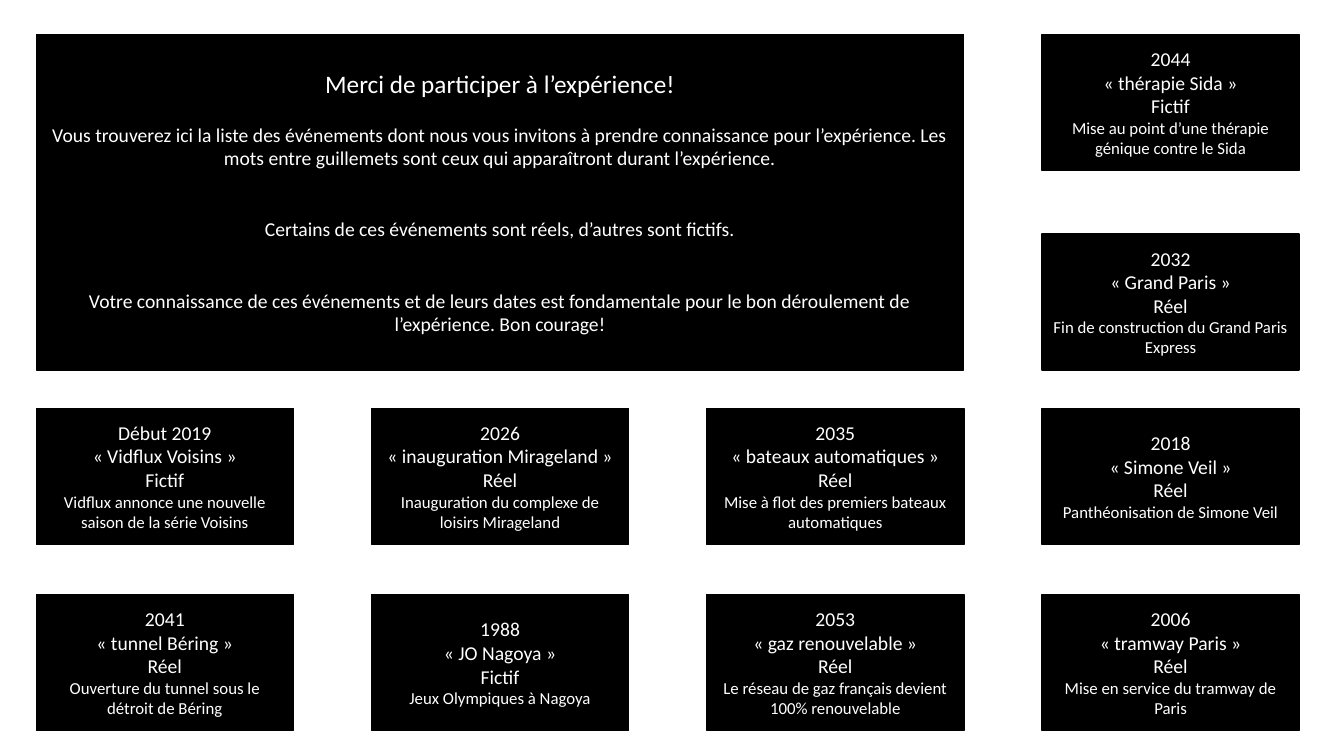
from dataclasses import dataclass

from pptx import Presentation
from pptx.dml.color import RGBColor
from pptx.enum.shapes import MSO_SHAPE
from pptx.enum.text import MSO_ANCHOR, PP_ALIGN
from pptx.util import Inches, Pt

RECT = MSO_SHAPE.RECTANGLE
MIDDLE = MSO_ANCHOR.MIDDLE
CENTER = PP_ALIGN.CENTER


@dataclass(frozen=True)
class Theme:
    font: str = "Calibri"
    fill: RGBColor = RGBColor(0, 0, 0)
    ink: RGBColor = RGBColor(255, 255, 255)
    title: int = 18
    body: int = 14
    small: int = 12
    edge: int = 1


@dataclass(frozen=True)
class Line:
    text: str
    size: int
    gap: int = 0  # points of space above


@dataclass(frozen=True)
class Event:
    col: int
    row: int
    date: str
    name: str
    kind: str
    note: str


THEME = Theme()

# Grid in inches: equal columns, rows by their top edges
LEFT, PITCH = 0.36, 3.325
TOPS = (0.34, 2.32, 4.05, 5.9)
WIDE, HIGH = 2.55, 1.35
BLANK = 17  # height of one body line, in points

REAL, FAKE = "Réel", "Fictif"

EVENTS = (
    Event(3, 0, "2044", "thérapie Sida", FAKE,
          "Mise au point d’une thérapie génique contre le Sida"),
    Event(3, 1, "2032", "Grand Paris", REAL,
          "Fin de construction du Grand Paris Express"),
    Event(0, 2, "Début 2019", "Vidflux Voisins", FAKE,
          "Vidflux annonce une nouvelle saison de la série Voisins"),
    Event(1, 2, "2026", "inauguration Mirageland", REAL,
          "Inauguration du complexe de loisirs Mirageland"),
    Event(2, 2, "2035", "bateaux automatiques", REAL,
          "Mise à flot des premiers bateaux automatiques"),
    Event(3, 2, "2018", "Simone Veil", REAL,
          "Panthéonisation de Simone Veil"),
    Event(0, 3, "2041", "tunnel Béring", REAL,
          "Ouverture du tunnel sous le détroit de Béring"),
    Event(1, 3, "1988", "JO Nagoya", FAKE,
          "Jeux Olympiques à Nagoya"),
    Event(2, 3, "2053", "gaz renouvelable", REAL,
          "Le réseau de gaz français devient 100% renouvelable"),
    Event(3, 3, "2006", "tramway Paris", REAL,
          "Mise en service du tramway de Paris"),
)

INTRO = (
    Line("Merci de participer à l’expérience!", THEME.title),
    Line("Vous trouverez ici la liste des événements dont nous vous invitons "
         "à prendre connaissance pour l’expérience. Les mots entre guillemets "
         "sont ceux qui apparaîtront durant l’expérience.", THEME.body, BLANK),
    Line("Certains de ces événements sont réels, d’autres sont fictifs.",
         THEME.body, 2 * BLANK),
    Line("Votre connaissance de ces événements et de leurs dates est "
         "fondamentale pour le bon déroulement de l’expérience. Bon courage!",
         THEME.body, 2 * BLANK),
)


def draw_box(slide, col: int, row: int, lines: tuple[Line, ...],
             cols: int = 1, rows: int = 1) -> None:
    """Draw a panel spanning whole grid cells, with its centred lines."""
    wide = (cols - 1) * PITCH + WIDE
    high = TOPS[row + rows - 1] + HIGH - TOPS[row]
    box = slide.shapes.add_shape(
        RECT, Inches(LEFT + col * PITCH), Inches(TOPS[row]),
        Inches(wide), Inches(high))
    box.shadow.inherit = False
    box.fill.solid()
    box.fill.fore_color.rgb = THEME.fill
    box.line.color.rgb = THEME.fill
    box.line.width = Pt(THEME.edge)

    frame = box.text_frame
    frame.word_wrap = True
    frame.vertical_anchor = MIDDLE
    for i, line in enumerate(lines):
        para = frame.add_paragraph() if i else frame.paragraphs[0]
        para.text = line.text
        para.alignment = CENTER
        para.space_before = Pt(line.gap)
        para.font.name = THEME.font
        para.font.size = Pt(line.size)
        para.font.color.rgb = THEME.ink


def draw_event(slide, event: Event) -> None:
    """Draw one dated event in its grid cell."""
    heads = (event.date, f"«\u00a0{event.name}\u00a0»", event.kind)
    lines = tuple(Line(text, THEME.body) for text in heads)
    draw_box(slide, event.col, event.row,
             lines + (Line(event.note, THEME.small),))


# Slide
deck = Presentation()
deck.slide_width, deck.slide_height = Inches(13.33), Inches(7.5)
page = deck.slides.add_slide(deck.slide_layouts[6])

# Events, then the welcome panel
for event in EVENTS:
    draw_event(page, event)
draw_box(page, 0, 0, INTRO, cols=3, rows=2)

deck.save("out.pptx")
